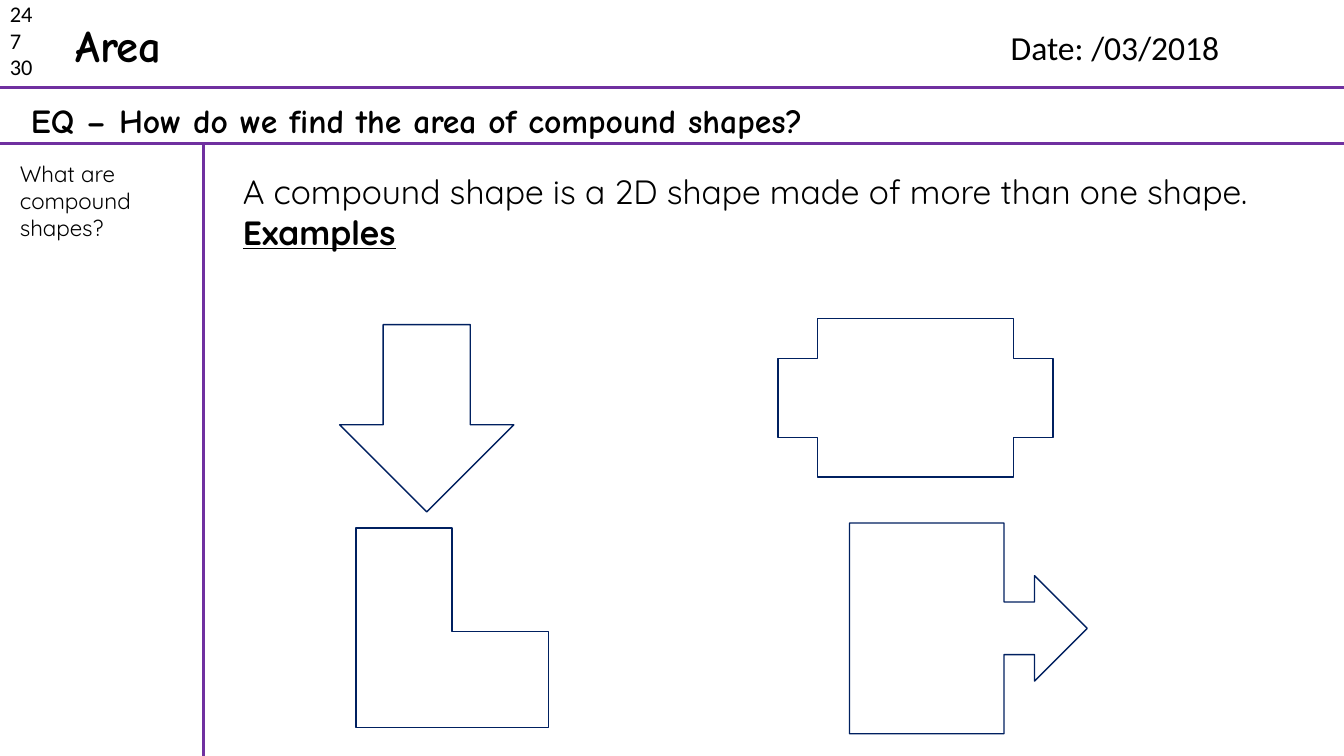
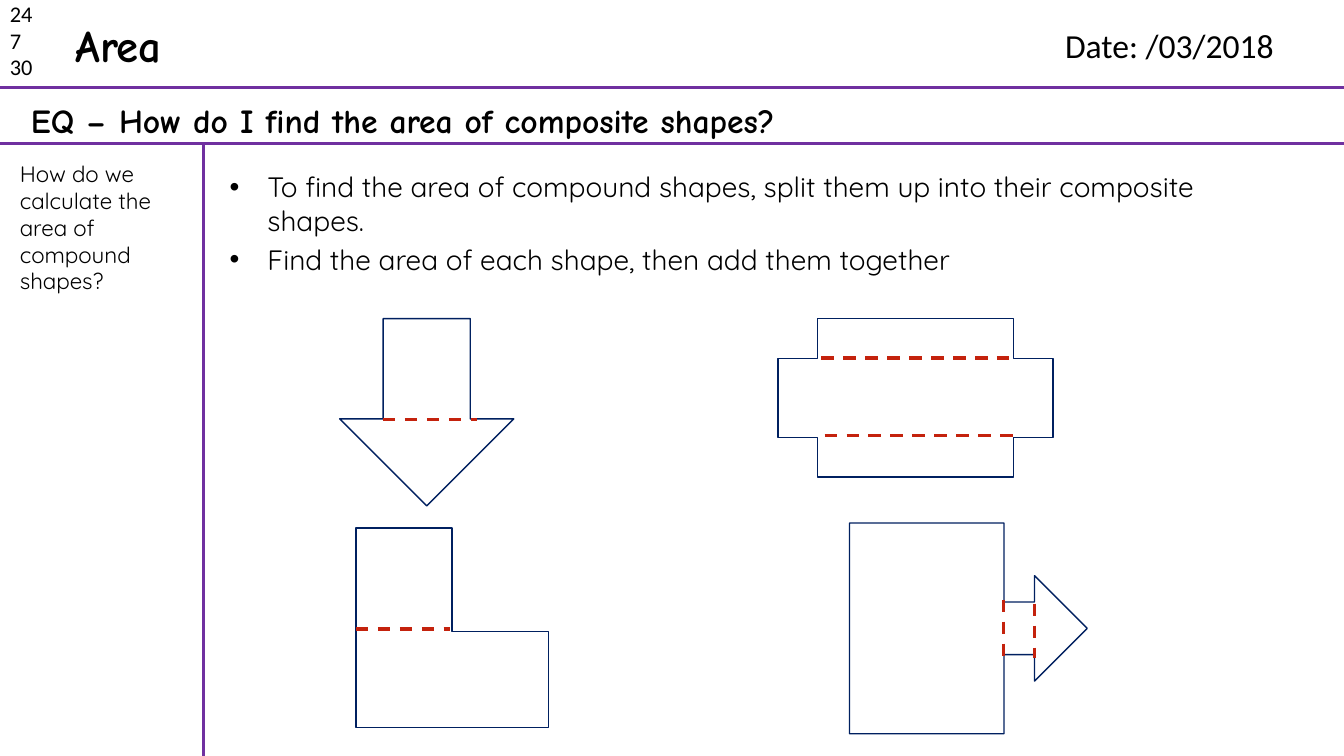
import pptx
import pptx.dml.color
import pptx.enum.dml
import pptx.enum.shapes
import pptx.oxml.ns
import pptx.util
from lxml import etree

Cm = pptx.util.Cm
Pt = pptx.util.Pt
RGBColor = pptx.dml.color.RGBColor
SHAPE = pptx.enum.shapes.MSO_SHAPE

PURPLE = RGBColor(0x70, 0x30, 0xA0)
NAVY = RGBColor(0x00, 0x20, 0x60)
RED = RGBColor(0xC4, 0x22, 0x0D)
BLACK = RGBColor(0x00, 0x00, 0x00)
WHITE = RGBColor(0xFF, 0xFF, 0xFF)

PLAIN_FONT = "Calibri"
TITLE_FONT = "Comic Neue"
BODY_FONT = "Quicksand"

SLIDE_WIDTH, SLIDE_HEIGHT = 33.87, 19.05
HEADER_Y, QUESTION_Y, MARGIN_X = 2.21, 3.61, 5.13


class Lesson:
    """Holds the style and the current slide; all lengths are in centimetres."""

    def __init__(self):
        self.presentation = pptx.Presentation()
        self.presentation.slide_width = Cm(SLIDE_WIDTH)
        self.presentation.slide_height = Cm(SLIDE_HEIGHT)
        self.slide = None

    def add_slide(self, question, note, date_position):
        blank = self.presentation.slide_layouts[6]
        self.slide = self.presentation.slides.add_slide(blank)
        # Ruled page
        self.line(0, HEADER_Y, SLIDE_WIDTH, HEADER_Y)
        self.line(0, QUESTION_Y, SLIDE_WIDTH, QUESTION_Y)
        self.line(MARGIN_X, QUESTION_Y, MARGIN_X, SLIDE_HEIGHT)
        # Header, question and margin note
        self.text((0, -0.13, 1.6, 2.31), ["24", "7", "30"], 16, PLAIN_FONT)
        self.text((1.65, 0.33, 10.64, 1.63), ["Area"], 32, TITLE_FONT, bold=True)
        self.text((*date_position, 6.81, 1.27), ["Date: /03/2018"], 24, PLAIN_FONT)
        self.text((0.53, 2.39, 29.46, 1.27), [question], 24, TITLE_FONT, bold=True)
        self.text((0.25, 3.91, 5.05, 3.68), [note], 16, BODY_FONT)

    def text(self, box, lines, size, font, bold=False, bullets=False):
        frame = self.slide.shapes.add_textbox(*map(Cm, box)).text_frame
        frame.word_wrap = True
        for index, line in enumerate(lines):
            paragraph = frame.paragraphs[0] if index == 0 else frame.add_paragraph()
            if bullets:
                self.bullet(paragraph)
                if index:
                    paragraph.space_before = Pt(size * 0.2)
            run = paragraph.add_run()
            run.text = line
            run.font.size = Pt(size)
            run.font.name = font
            run.font.bold = bold
            run.font.color.rgb = BLACK
        return frame

    def bullet(self, paragraph):
        properties = paragraph._p.get_or_add_pPr()
        indent = Cm(0.95)
        properties.set("marL", str(indent))
        properties.set("indent", str(-indent))
        qn = pptx.oxml.ns.qn
        etree.SubElement(properties, qn("a:buFont"), typeface="Arial")
        etree.SubElement(properties, qn("a:buChar"), char="•")

    def line(self, x1, y1, x2, y2, color=PURPLE, dashed=False):
        connector = self.slide.shapes.add_connector(
            pptx.enum.shapes.MSO_CONNECTOR.STRAIGHT, *map(Cm, (x1, y1, x2, y2)))
        connector.line.color.rgb = color
        connector.line.width = Pt(2.25)
        if dashed:
            connector.line.dash_style = pptx.enum.dml.MSO_LINE.DASH
        etree.SubElement(connector._element.spPr, pptx.oxml.ns.qn("a:effectLst"))

    def outline(self, kind, *box):
        shape = self.slide.shapes.add_shape(kind, *map(Cm, box))
        shape.shadow.inherit = False
        shape.fill.solid()
        shape.fill.fore_color.rgb = WHITE
        shape.line.color.rgb = NAVY
        shape.line.width = Pt(1)

    def compound_shapes(self, arrow_top):
        self.outline(SHAPE.DOWN_ARROW, 8.56, arrow_top, 4.39, 4.72)
        self.outline(SHAPE.CROSS, 19.61, 8.03, 6.93, 3.99)
        self.outline(SHAPE.CORNER, 8.97, 13.31, 4.85, 5.03)
        self.outline(SHAPE.RIGHT_ARROW_CALLOUT, 21.41, 13.18, 5.99, 5.31)


def main():
    lesson = Lesson()

    # Slide 1: what compound shapes are
    lesson.add_slide("EQ – How do we find the area of compound shapes?",
                     "What are compound shapes?", (25.22, 0.56))
    definition = lesson.text(
        (5.87, 4.19, 26.39, 2.5),
        ["A compound shape is a 2D shape made of more than one shape.", "Examples"],
        24, BODY_FONT)
    heading = definition.paragraphs[1].runs[0].font
    heading.bold = True
    heading.underline = True
    lesson.compound_shapes(arrow_top=8.18)

    # Slide 2: how to split them
    lesson.add_slide("EQ – How do I find the area of composite shapes?",
                     "How do we calculate the area of compound shapes?", (26.59, 0.51))
    lesson.text(
        (5.54, 4.15, 26.59, 3.3),
        ["To find the area of compound shapes, split them up into their composite shapes.",
         "Find the area of each shape, then add them together"],
        20, BODY_FONT, bullets=True)
    lesson.compound_shapes(arrow_top=8.03)

    # Cuts between the composite shapes
    cuts = [
        (9.65, 10.57, 12.01, 10.57),
        (8.97, 15.85, 11.35, 15.85),
        (20.7, 9.02, 25.63, 9.02),
        (20.78, 10.97, 25.63, 10.97),
        (25.3, 15.11, 25.3, 16.59),
        (26.06, 15.21, 26.06, 16.59),
    ]
    for cut in cuts:
        lesson.line(*cut, color=RED, dashed=True)

    lesson.presentation.save("out.pptx")


if __name__ == "__main__":
    main()
